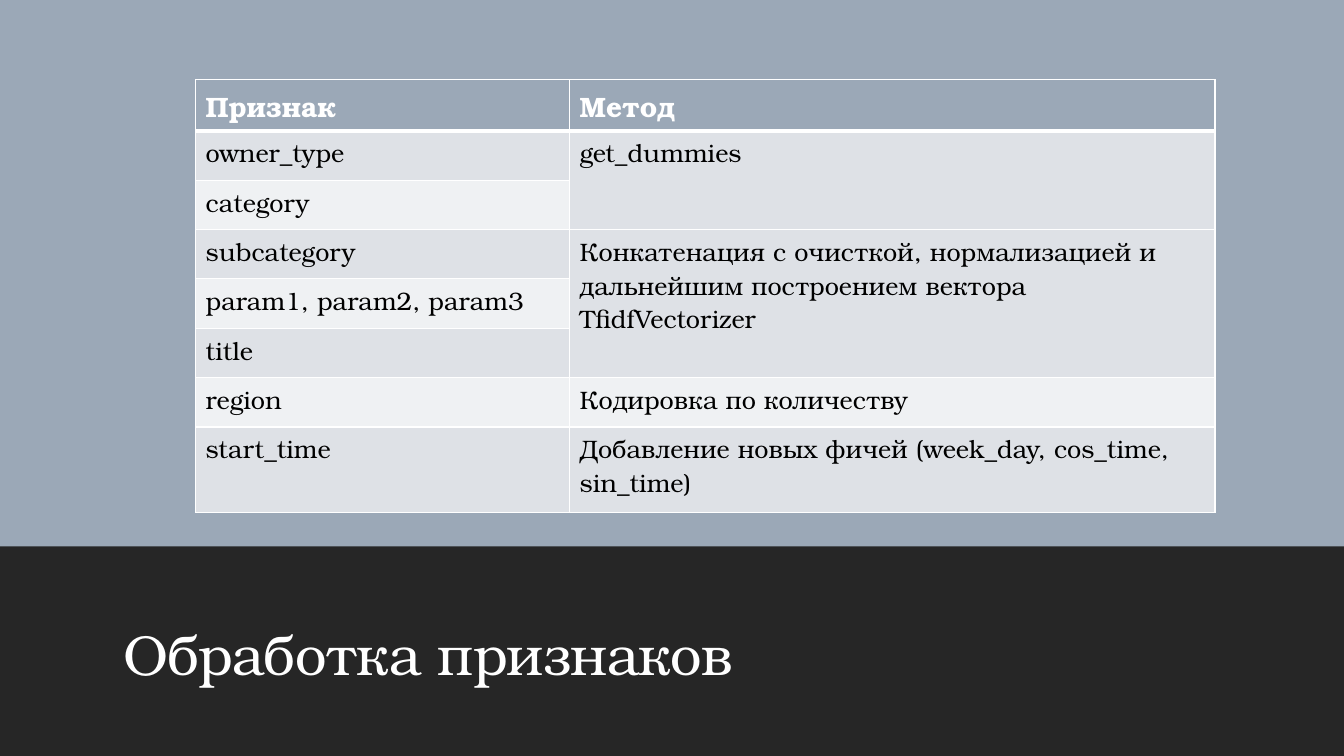
from lxml.etree import SubElement
from pptx import Presentation
from pptx.dml.color import RGBColor
from pptx.enum.shapes import MSO_SHAPE
from pptx.enum.text import MSO_ANCHOR, PP_ALIGN
from pptx.oxml.ns import qn
from pptx.util import Inches, Pt

WIDTH, HEIGHT = 13.33, 7.5
ROWS = [
    ("Признак", "Метод"),
    ("owner_type", "get_dummies"),
    ("category", None),
    ("subcategory", "Конкатенация с очисткой, нормализацией и "
                    "дальнейшим построением вектора TfidfVectorizer"),
    ("param1, param2, param3", None),
    ("title", None),
    ("region", "Кодировка по количеству"),
    ("start_time", "Добавление новых фичей (week_day, cos_time, sin_time)"),
]
MERGED_METHODS = [(1, 2), (3, 5)]
COLUMN_WIDTHS = [3.71, 6.4]
ROW_HEIGHTS = [0.49] * 7 + [0.85]


def paint(target, color):
    target.solid()
    target.fore_color.rgb = RGBColor.from_string(color)


class SlideBuilder:
    font = "TeX Gyre Bonum"
    white = "FFFFFF"
    black = "000000"
    dark = "262626"
    accent = "9BA8B7"
    bands = ["DEE1E6", "EFF1F3"]

    def __init__(self, page):
        self.page = page

    def put_text(self, frame, text, size=18, color=black, bold=False, spacing=None, tracking=None):
        para = frame.paragraphs[0]
        para.alignment = PP_ALIGN.LEFT
        if spacing:
            para.line_spacing = spacing
        span = para.add_run()
        span.text = text
        span.font.name = self.font
        span.font.size = Pt(size)
        span.font.bold = bold
        paint(span.font.fill, color)
        if tracking:
            span.font._element.set("spc", str(round(tracking * 100)))

    def panel(self, top, height, color):
        box = self.page.shapes.add_shape(
            MSO_SHAPE.RECTANGLE, 0, Inches(top), Inches(WIDTH), Inches(height))
        box.shadow.inherit = False
        paint(box.fill, color)
        box.line.fill.background()

    def title(self, text, left, top, width, height):
        box = self.page.shapes.title
        self.page.shapes._spTree.append(box._element)
        box.left, box.top = Inches(left), Inches(top)
        box.width, box.height = Inches(width), Inches(height)
        frame = box.text_frame
        frame.word_wrap = True
        frame.vertical_anchor = MSO_ANCHOR.BOTTOM
        self.put_text(frame, text, size=40, color=self.white, spacing=2.0, tracking=-0.5)

    def borders(self, cell, widths):
        properties = cell._tc.get_or_add_tcPr()
        for side, points in widths.items():
            line = SubElement(properties, qn(f"a:ln{side}"), w=str(Pt(points)))
            fill = SubElement(line, qn("a:solidFill"))
            SubElement(fill, qn("a:srgbClr"), val=self.white)

    def table(self, left, top):
        frame = self.page.shapes.add_table(
            len(ROWS), len(COLUMN_WIDTHS), Inches(left), Inches(top),
            Inches(sum(COLUMN_WIDTHS)), Inches(sum(ROW_HEIGHTS)))
        table = frame.table
        for column, width in zip(table.columns, COLUMN_WIDTHS):
            column.width = Inches(width)
        for row, height in zip(table.rows, ROW_HEIGHTS):
            row.height = Inches(height)
        for first, last in MERGED_METHODS:
            table.cell(first, 1).merge(table.cell(last, 1))
        for row_index, texts in enumerate(ROWS):
            header = row_index == 0
            for column_index, text in enumerate(texts):
                cell = table.cell(row_index, column_index)
                self.borders(cell, {"L": 1, "R": 1, "T": 3 if row_index == 1 else 1,
                                    "B": 3 if header else 1})
                paint(cell.fill, self.accent if header else self.bands[(row_index - 1) % 2])
                if text:
                    self.put_text(cell.text_frame, text, size=20 if header else 18,
                                  color=self.white if header else self.black, bold=header)


def main():
    deck = Presentation()
    deck.slide_width, deck.slide_height = Inches(WIDTH), Inches(HEIGHT)
    builder = SlideBuilder(deck.slides.add_slide(deck.slide_layouts[5]))
    builder.panel(0, HEIGHT, builder.accent)
    builder.panel(5.42, 2.08, builder.dark)
    builder.title("Обработка признаков", 1.12, 5.72, 7.84, 1.14)
    builder.table(1.94, 0.79)
    deck.save("out.pptx")


if __name__ == "__main__":
    main()
